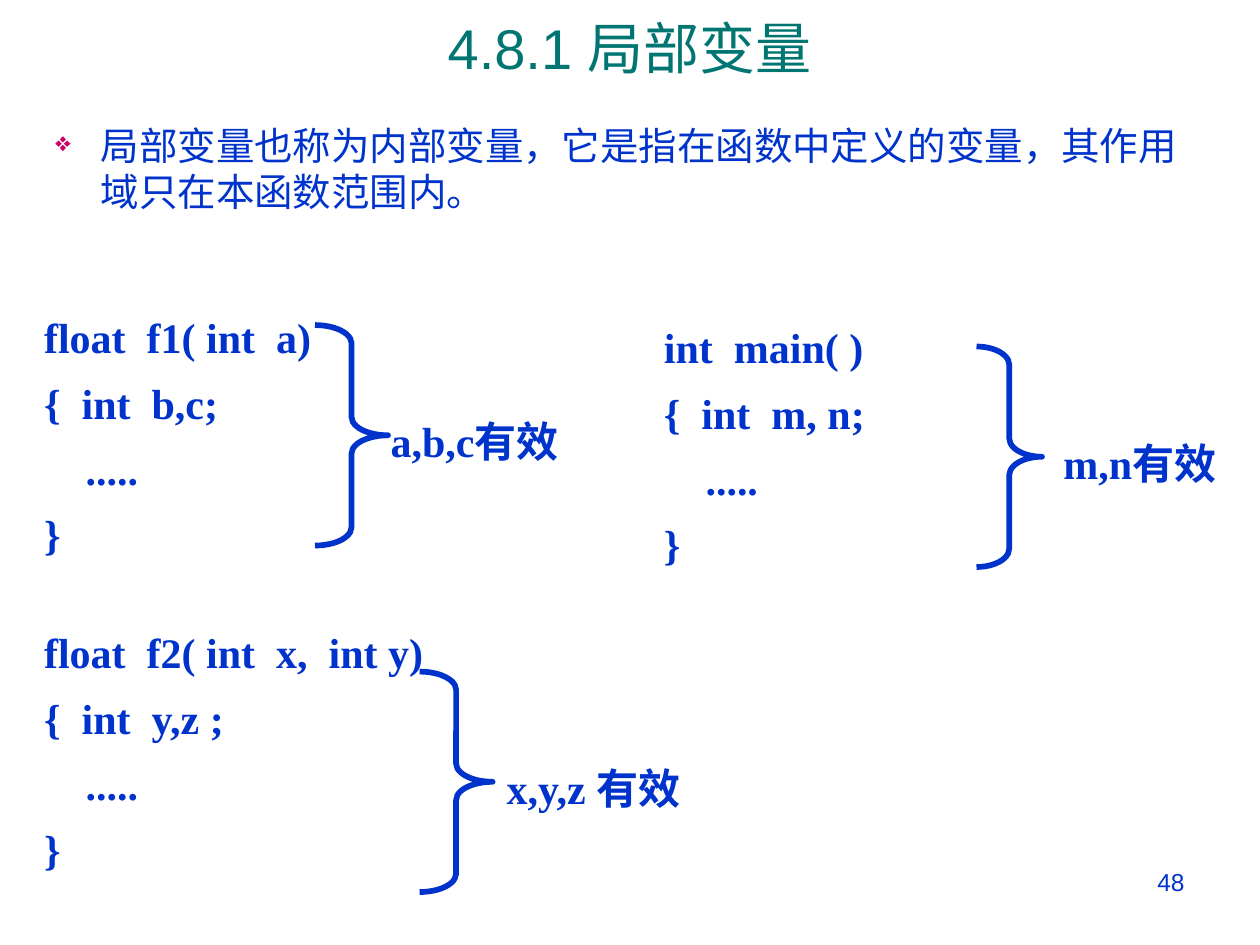
from lxml import etree
from pptx import Presentation
from pptx import util as u
from pptx.dml.color import RGBColor
from pptx.enum import shapes, text
from pptx.oxml import ns

BLUE = RGBColor(0x00, 0x33, 0xCC)
TEAL = RGBColor(0x00, 0x75, 0x72)
MAGENTA = RGBColor(0xCC, 0x00, 0x66)
SANS, SERIF = "Arial", "Times New Roman"
DEFAULT_INSETS = (0.1, 0.05, 0.1, 0.05)
TIGHT_INSETS = (0.02, 0.01, 0.02, 0.01)
LEFT, CENTER, RIGHT = text.PP_ALIGN.LEFT, text.PP_ALIGN.CENTER, text.PP_ALIGN.RIGHT


class LessonSlide:
    def __init__(self, deck):
        self.slide = deck.slides.add_slide(deck.slide_layouts[6])

    def text(self, place, lines, size, color=BLUE, font=SERIF, bold=False, align=LEFT,
             insets=TIGHT_INSETS, before=0, spacing=1.0, anchor=text.MSO_ANCHOR.TOP):
        box = self.slide.shapes.add_textbox(*map(u.Inches, place))
        frame = box.text_frame
        frame.word_wrap = True
        frame.vertical_anchor = anchor
        frame.margin_left, frame.margin_top, frame.margin_right, frame.margin_bottom = map(u.Inches, insets)
        for index, line in enumerate(lines):
            para = frame.add_paragraph() if index else frame.paragraphs[0]
            para.alignment = align
            para.space_before = u.Pt(before)
            para.line_spacing = spacing
            span = para.add_run()
            span.text = line
            span.font.size = u.Pt(size)
            span.font.name = font
            span.font.bold = bold
            span.font.color.rgb = color
        return frame.paragraphs

    def indent(self, para, margin, first_line=0):
        properties = para._p.get_or_add_pPr()
        properties.set("marL", str(u.Inches(margin)))
        properties.set("indent", str(u.Inches(first_line)))
        return properties

    def bullet(self, para):
        properties = self.indent(para, 0.47, -0.36)
        color = etree.SubElement(properties, ns.qn("a:buClr"))
        etree.SubElement(color, ns.qn("a:srgbClr"), val=str(MAGENTA))
        etree.SubElement(properties, ns.qn("a:buSzPct"), val="70000")
        etree.SubElement(properties, ns.qn("a:buChar"), char="❖")

    def code(self, left, top, width, header, declaration):
        lines = [header, declaration, ".....", "}"]
        paras = self.text((left, top, width, 2.03), lines, 24, bold=True, before=6, spacing=1.1)
        self.indent(paras[2], 0.33)

    def scope(self, left, top, width, label, label_left, label_width):
        place = map(u.Inches, (left, top, width, 1.75))
        brace = self.slide.shapes.add_shape(shapes.MSO_SHAPE.RIGHT_BRACE, *place)
        brace.adjustments[0] = round(0.146 / width, 2)
        brace.shadow.inherit = False
        brace.fill.background()
        brace.line.color.rgb = BLUE
        brace.line.width = u.Pt(3.26)
        self.text((label_left, top + 0.67, label_width, 0.46), [label], 24,
                  bold=True, before=15, spacing=1.1)


deck = Presentation()
deck.slide_width, deck.slide_height = u.Inches(10), u.Inches(7.5)
lesson = LessonSlide(deck)

lesson.text((7.17, 6.83, 2.33, 0.52), ["48"], 14, font=SANS, align=RIGHT, insets=DEFAULT_INSETS)
lesson.text((0.33, 0, 9.34, 0.75), ["4.8.1 局部变量"], 32, TEAL, SANS, align=CENTER,
            insets=DEFAULT_INSETS, anchor=text.MSO_ANCHOR.MIDDLE)
definition = lesson.text(
    (0.33, 0.92, 9.34, 5.5),
    ["局部变量也称为内部变量，它是指在函数中定义的变量，其作用域只在本函数范围内。"],
    22, font=SANS, insets=(0, 0.05, 0.1, 0.05), before=5.5)
lesson.bullet(definition[0])

for function in (
    (0.33, 2.42, 2.75, "float  f1( int  a)", "{  int  b,c;"),
    (0.33, 4.92, 3.08, "float  f2( int  x,  int y)", "{  int  y,z ;"),
    (5.25, 2.5, 2.67, "int  main( )", "{  int  m, n;"),
):
    lesson.code(*function)

for scope in (
    (3.33, 5.33, 0.58, "x,y,z 有效", 4, 1.75),
    (2.5, 2.58, 0.58, "a,b,c有效", 3.08, 1.75),
    (7.75, 2.75, 0.52, "m,n有效", 8.42, 1.57),
):
    lesson.scope(*scope)

deck.save("out.pptx")
